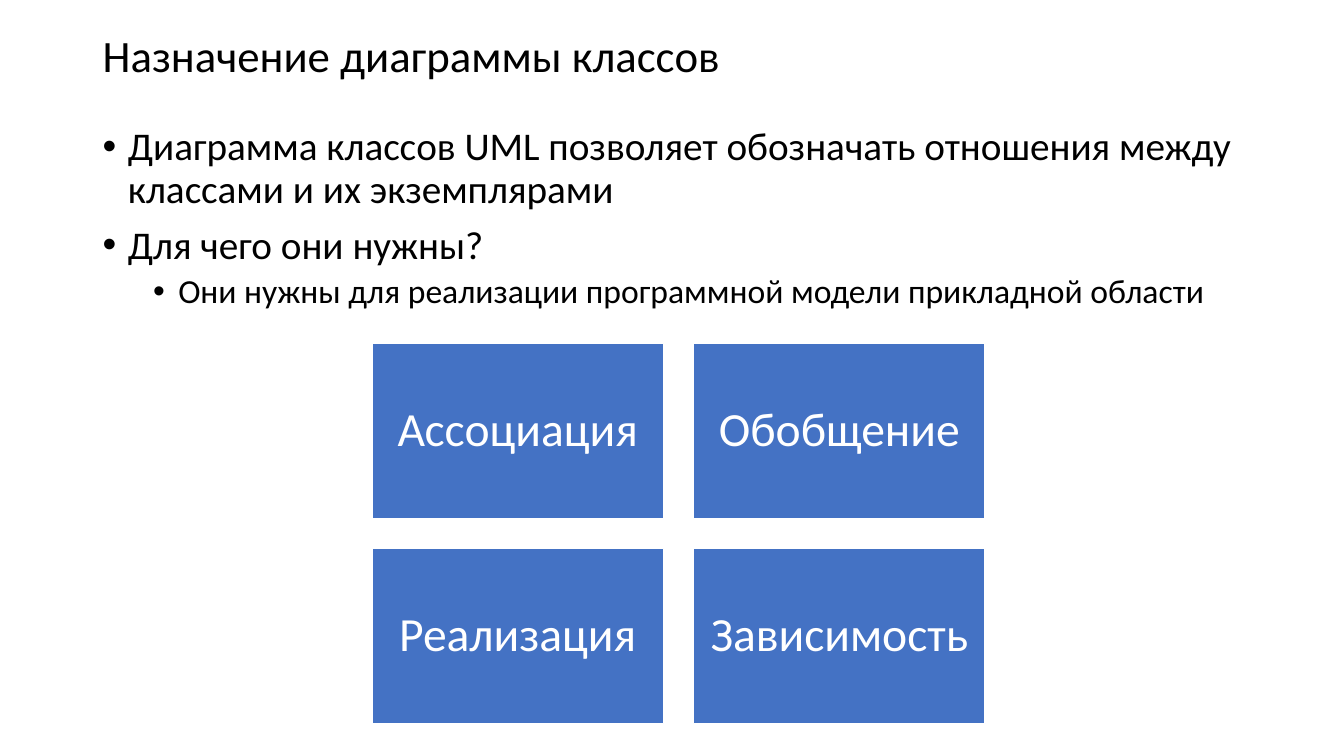
import pptx
import pptx.dml.color
import pptx.enum.shapes
import pptx.enum.text
import pptx.oxml
import pptx.util
from pptx.util import Inches

TITLE = "Назначение диаграммы классов"
BULLETS = [
    (0, "Диаграмма классов UML позволяет обозначать отношения между классами и их экземплярами"),
    (0, "Для чего они нужны?"),
    (1, "Они нужны для реализации программной модели прикладной области"),
]
RELATIONS = [
    ["Ассоциация", "Обобщение"],
    ["Реализация", "Зависимость"],
]
LEVEL_STYLES = [
    {"size": 28, "before": 10, "indent": 0.25},
    {"size": 24, "before": 5, "indent": 0.75},
]

FONT = "Calibri"
BLACK = pptx.dml.color.RGBColor(0x00, 0x00, 0x00)
WHITE = pptx.dml.color.RGBColor(0xFF, 0xFF, 0xFF)
BLUE = pptx.dml.color.RGBColor(0x44, 0x72, 0xC4)

TEXT_LEFT, TEXT_WIDTH = 0.92, 11.5
GRID_LEFT, GRID_TOP = 3.69, 3.41
TILE_WIDTH, TILE_HEIGHT = 2.89, 1.74
COLUMN_STEP, ROW_STEP = 3.19, 2.03
TILE_INSET = 0.14


def write(para, text, size, color=BLACK, align=pptx.enum.text.PP_ALIGN.LEFT, before=0):
    para.alignment = align
    para.line_spacing = 0.9
    para.space_before = pptx.util.Pt(before)
    span = para.add_run()
    span.text = text
    span.font.name = FONT
    span.font.size = pptx.util.Pt(size)
    span.font.color.rgb = color


def add_bullet(para, indent):
    properties = para._p.get_or_add_pPr()
    properties.set("marL", str(Inches(indent)))
    properties.set("indent", str(Inches(-0.25)))
    namespace = pptx.oxml.ns.nsdecls("a")
    for markup in (f'<a:buFont {namespace} typeface="Arial"/>', f'<a:buChar {namespace} char="•"/>'):
        properties.append(pptx.oxml.parse_xml(markup))


def add_text_frame(page, top, height, anchor):
    box = page.shapes.add_textbox(Inches(TEXT_LEFT), Inches(top), Inches(TEXT_WIDTH), Inches(height))
    frame = box.text_frame
    frame.word_wrap = True
    frame.vertical_anchor = anchor
    return frame


def add_tile(page, text, left, top):
    tile = page.shapes.add_shape(
        pptx.enum.shapes.MSO_SHAPE.RECTANGLE,
        Inches(left), Inches(top), Inches(TILE_WIDTH), Inches(TILE_HEIGHT),
    )
    tile.shadow.inherit = False
    tile.fill.solid()
    tile.fill.fore_color.rgb = BLUE
    tile.line.color.rgb = WHITE
    tile.line.width = pptx.util.Pt(1)
    frame = tile.text_frame
    frame.word_wrap = True
    frame.vertical_anchor = pptx.enum.text.MSO_ANCHOR.MIDDLE
    frame.margin_left = frame.margin_right = Inches(TILE_INSET)
    frame.margin_top = frame.margin_bottom = Inches(TILE_INSET)
    write(frame.paragraphs[0], text, size=34, color=WHITE, align=pptx.enum.text.PP_ALIGN.CENTER)


def main():
    deck = pptx.Presentation()
    deck.slide_width, deck.slide_height = Inches(13.33), Inches(7.5)
    page = deck.slides.add_slide(deck.slide_layouts[6])

    title = add_text_frame(page, 0.26, 0.63, pptx.enum.text.MSO_ANCHOR.MIDDLE)
    write(title.paragraphs[0], TITLE, size=32)

    body = add_text_frame(page, 1.21, 5.55, pptx.enum.text.MSO_ANCHOR.TOP)
    for index, (level, text) in enumerate(BULLETS):
        para = body.add_paragraph() if index else body.paragraphs[0]
        para.level = level
        style = LEVEL_STYLES[level]
        write(para, text, size=style["size"], before=style["before"])
        add_bullet(para, style["indent"])

    for row, names in enumerate(RELATIONS):
        for column, name in enumerate(names):
            add_tile(page, name, GRID_LEFT + column * COLUMN_STEP, GRID_TOP + row * ROW_STEP)

    deck.save("out.pptx")


if __name__ == "__main__":
    main()
